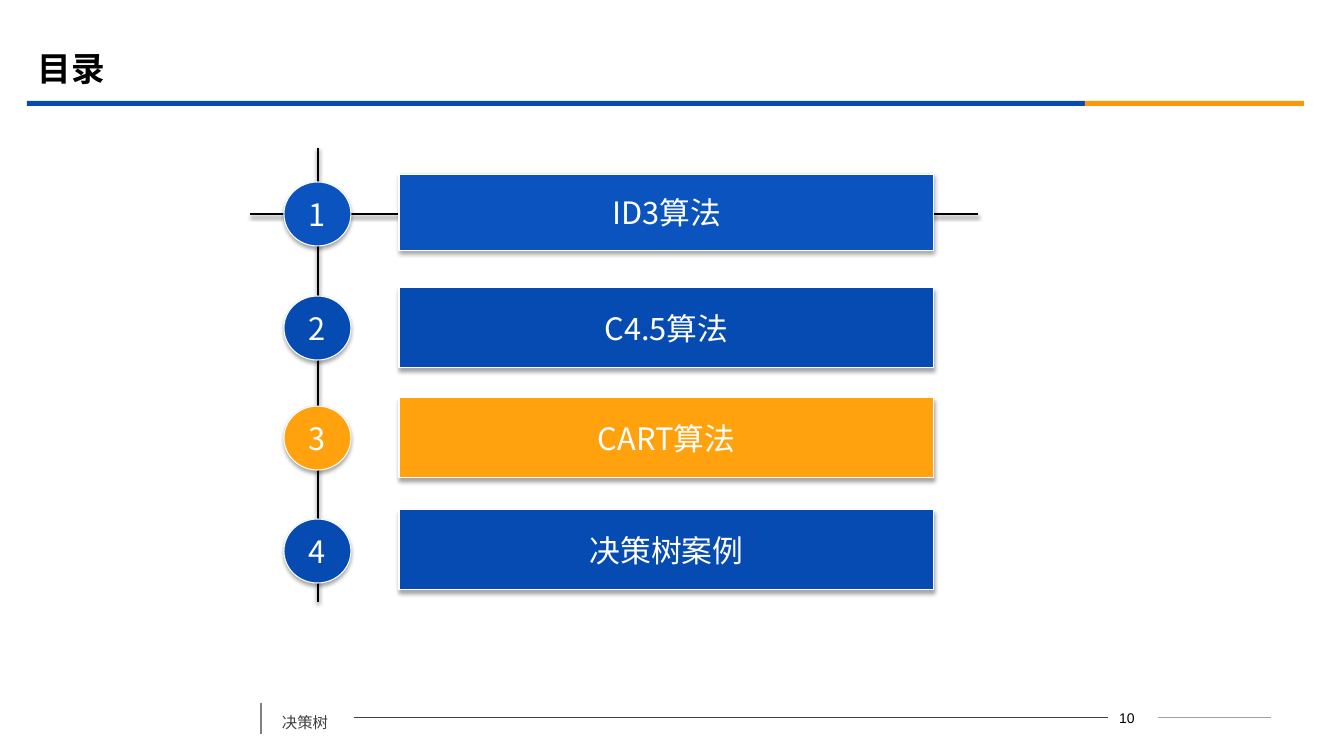
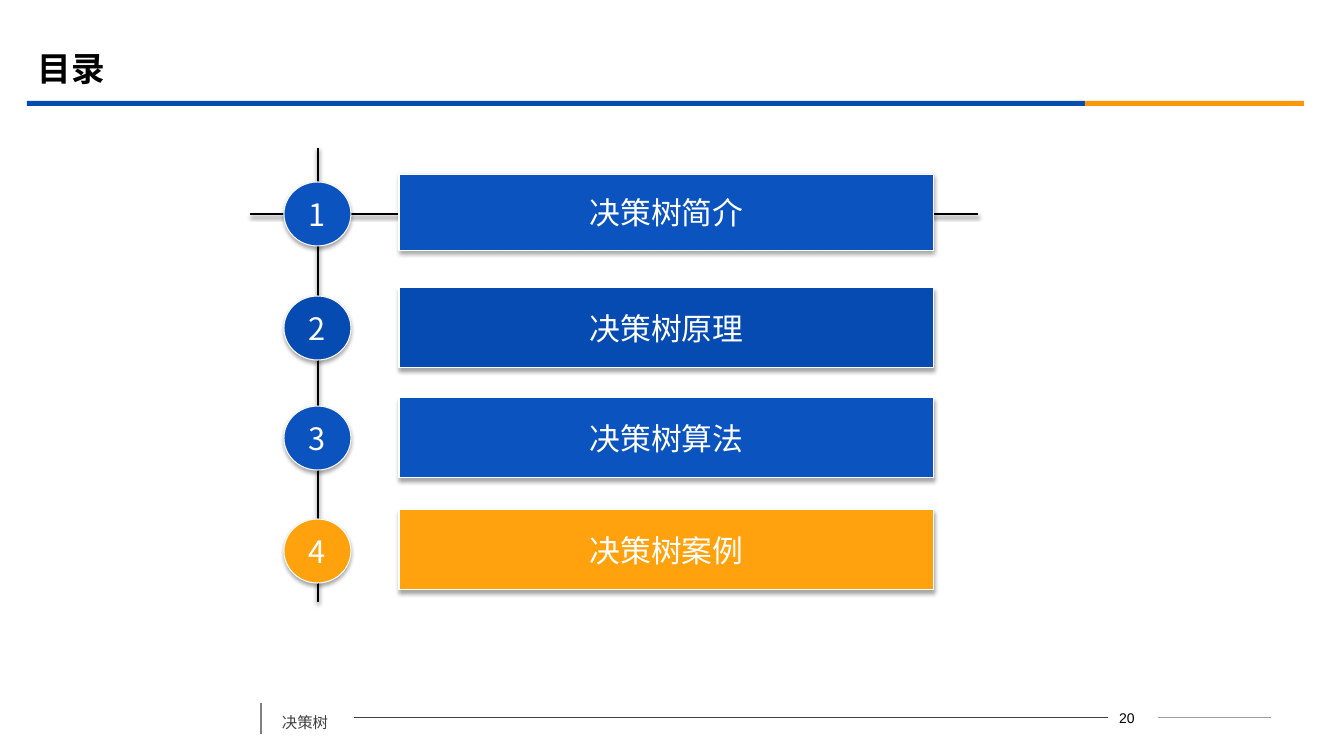
"""Build two agenda slides of a decision tree lecture."""
from pptx import Presentation
from pptx import util as u
from pptx.dml.color import RGBColor
from pptx.enum import shapes, text
from pptx.oxml import xmlchemy
from pptx.oxml.xmlchemy import OxmlElement

PX = 914400 / 100.8
CJK = "Noto Sans CJK SC"
COLOURS = {
    "blue": "064BB2",
    "bright": "0B53BE",
    "amber": "FFA20D",
    "band": "FB9708",
    "white": "FFFFFF",
    "black": "000000",
    "ink": "404040",
    "grey": "808080",
    "pale": "A0A0A0",
}
RGB = {name: RGBColor.from_string(value) for name, value in COLOURS.items()}
SHAPE = shapes.MSO_SHAPE
STRAIGHT = shapes.MSO_CONNECTOR.STRAIGHT


def write(box, words, size, colour, font=CJK, bold=False, align="LEFT", anchor="MIDDLE",
          wrap=True, inset=None, spacing=None, before=None):
    """Fill a shape with one formatted paragraph."""
    frame = box.text_frame
    frame.word_wrap = wrap
    frame.vertical_anchor = getattr(text.MSO_ANCHOR, anchor)
    if inset is not None:
        frame.margin_left = frame.margin_right = frame.margin_top = frame.margin_bottom = inset
    paragraph = frame.paragraphs[0]
    paragraph.alignment = getattr(text.PP_ALIGN, align)
    paragraph.line_spacing = spacing
    paragraph.space_before = before
    run = paragraph.add_run()
    run.text = words
    run.font.size = u.Pt(size)
    run.font.bold = bold
    run.font.name = font
    run.font.color.rgb = RGB[colour]
    east_asian = OxmlElement("a:ea")
    east_asian.set("typeface", CJK)
    run.font._element.find("{*}latin").addnext(east_asian)


def set_shadow(item, opacity=0, distance=0):
    """Replace the theme shadow by a soft one below, or by none."""
    effects = OxmlElement("a:effectLst")
    item._element.spPr.append(effects)
    if opacity:
        shadow = OxmlElement("a:outerShdw")
        for key, value in (("blurRad", u.Pt(3.1)), ("dist", u.Pt(distance)),
                           ("dir", 5400000), ("rotWithShape", 0)):
            shadow.set(key, str(int(value)))
        tint = OxmlElement("a:srgbClr")
        tint.set("val", COLOURS["black"])
        alpha = OxmlElement("a:alpha")
        alpha.set("val", str(opacity * 1000))
        tint.append(alpha)
        shadow.append(tint)
        effects.append(shadow)


BANDS = [(27, 1058, "blue"), (1085, 219, "band")]
RULES = [
    (261, 703, 261, 734, "grey", 1.25, 0),
    (354, 718, 1108, 718, "ink", 0.75, 0),
    (1158, 718, 1271, 718, "pale", 0.75, 0),
    (318, 148, 318, 602, "black", 2, 38),
    (250, 214, 978, 214, "black", 2, 38),
]
ROWS = [(174, 76, 182), (288, 80, 296), (398, 80, 406), (510, 80, 519)]
AGENDAS = [
    ("10", [("ID3算法", "bright"), ("C4.5算法", "blue"),
            ("CART算法", "amber"), ("决策树案例", "blue")]),
    ("20", [("决策树简介", "bright"), ("决策树原理", "blue"),
            ("决策树算法", "bright"), ("决策树案例", "amber")]),
]

deck = Presentation()
deck.slide_width = u.Emu(round(1344 * PX))
deck.slide_height = u.Emu(round(756 * PX))

for page, topics in AGENDAS:
    slide = deck.slides.add_slide(deck.slide_layouts[6])
    canvas = slide.shapes

    heading = canvas.add_textbox(*(round(v * PX) for v in (28, 39, 1210, 58)))
    write(heading, "目录", 24, "black", font="Montserrat", bold=True)
    for left, width, colour in BANDS:
        band = canvas.add_shape(SHAPE.RECTANGLE, *(round(v * PX) for v in (left, 101, width, 5)))
        band.shadow.inherit = False
        band.fill.solid()
        band.fill.fore_color.rgb = RGB[colour]
        band.line.fill.background()

    footer = canvas.add_textbox(*(round(v * PX) for v in (272, 699, 82, 38)))
    write(footer, "决策树", 11, "ink", anchor="TOP", spacing=1.5, before=u.Pt(6))
    number = canvas.add_textbox(*(round(v * PX) for v in (1096, 705, 62, 26)))
    write(number, page, 10, "black", font="Arial", align="CENTER", inset=0)

    rules = []
    for *ends, colour, weight, opacity in RULES:
        rule = canvas.add_connector(STRAIGHT, *(round(v * PX) for v in ends))
        rule.line.color.rgb = RGB[colour]
        rule.line.width = u.Pt(weight)
        set_shadow(rule, opacity, 1.6)
        rules.append(rule)
    rules[1].begin_connect(footer, 3)
    rules[2].begin_connect(number, 3)

    for order, ((topic, colour), (top, height, badge_top)) in enumerate(zip(topics, ROWS), 1):
        for kind, box, label in (
            (SHAPE.ACTION_BUTTON_CUSTOM, (399, top, 535, height), topic),
            (SHAPE.OVAL, (284, badge_top, 67, 64), str(order)),
        ):
            entry = canvas.add_shape(kind, *(round(v * PX) for v in box))
            entry.fill.solid()
            entry.fill.fore_color.rgb = RGB[colour]
            entry.line.color.rgb = RGB["white"]
            entry.line.width = u.Pt(0.75)
            set_shadow(entry, 35, 1.8)
            write(entry, label, 22, "white", align="CENTER", wrap=False)

deck.save("out.pptx")
